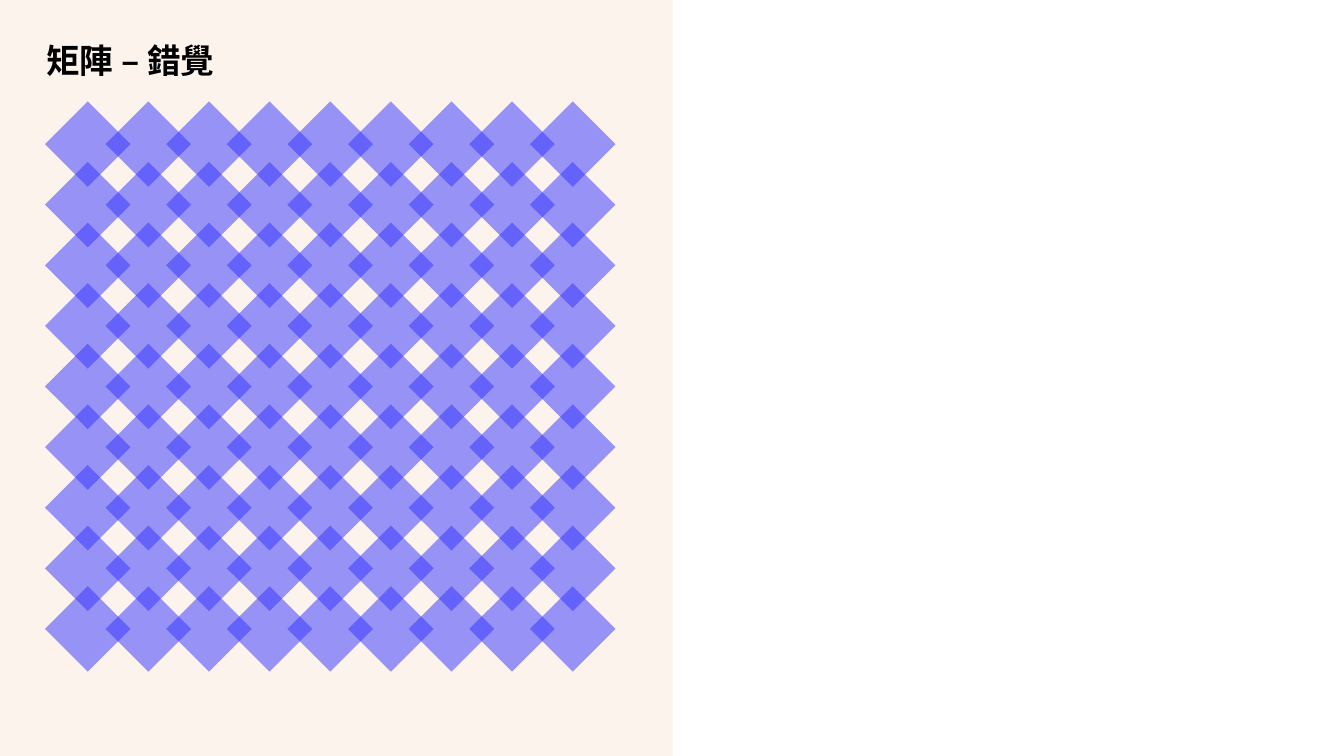
from dataclasses import dataclass
from itertools import product

from lxml.etree import SubElement
from pptx import Presentation
from pptx.dml.color import RGBColor
from pptx.enum.shapes import MSO_CONNECTOR, MSO_SHAPE
from pptx.enum.text import MSO_ANCHOR, PP_ALIGN
from pptx.oxml.ns import qn
from pptx.shapes.autoshape import Shape
from pptx.shapes.base import BaseShape
from pptx.slide import Slide
from pptx.util import Inches, Pt

SLIDE_WIDTH, SLIDE_HEIGHT = 13.33, 7.5
PANEL_WIDTH = 6.67
TITLE_FONT = "Noto Sans CJK SC"
GRID_COUNT = 9
GRID_LEFT, GRID_TOP = 0.57, 1.13
GRID_PITCH = 4.81 / (GRID_COUNT - 1)


@dataclass(frozen=True)
class Block:
    left: float
    top: float
    width: float
    height: float
    color: str
    opacity: int
    rotation: float = 0


def hex_color(value: str) -> RGBColor:
    return RGBColor.from_string(value)


def set_opacity(shape: BaseShape, percent: int) -> None:
    for color in shape.element.spPr.iter(qn("a:srgbClr")):
        SubElement(color, qn("a:alpha")).set("val", str(percent * 1000))


def draw_block(page: Slide, block: Block) -> Shape:
    shape = page.shapes.add_shape(
        MSO_SHAPE.RECTANGLE,
        Inches(block.left), Inches(block.top),
        Inches(block.width), Inches(block.height),
    )
    shape.shadow.inherit = False
    shape.rotation = block.rotation
    shape.fill.solid()
    shape.fill.fore_color.rgb = hex_color(block.color)
    shape.line.fill.background()
    set_opacity(shape, block.opacity)
    return shape


def draw_divider(page: Slide) -> BaseShape:
    divider = page.shapes.add_connector(
        MSO_CONNECTOR.STRAIGHT,
        Inches(PANEL_WIDTH), Inches(SLIDE_HEIGHT), Inches(PANEL_WIDTH), Inches(0),
    )
    divider.line.color.rgb = hex_color("FBE5D6")
    divider.line.width = Pt(0.25)
    set_opacity(divider, 50)
    SubElement(divider.element.spPr, qn("a:effectLst"))
    return divider


def write_title(page: Slide, text: str) -> None:
    title = page.shapes.title
    place = {"left": 0.36, "top": 0.4, "width": 5.95, "height": 0.44}
    for name, value in place.items():
        setattr(title, name, Inches(value))
    frame = title.text_frame
    frame.word_wrap = False
    frame.vertical_anchor = MSO_ANCHOR.MIDDLE
    para = frame.paragraphs[0]
    para.alignment = PP_ALIGN.LEFT
    para.line_spacing = 0.9
    span = para.add_run()
    span.text = text
    for name, value in {"size": Pt(24), "bold": True, "name": TITLE_FONT}.items():
        setattr(span.font, name, value)
    span.font.color.rgb = hex_color("000000")
    east_asian = SubElement(span.font._element, qn("a:ea"))
    east_asian.set("typeface", TITLE_FONT)


def main() -> None:
    deck = Presentation()
    deck.slide_width, deck.slide_height = Inches(SLIDE_WIDTH), Inches(SLIDE_HEIGHT)
    page = deck.slides.add_slide(deck.slide_layouts[5])
    write_title(page, "矩陣 – 錯覺")

    panel = draw_block(page, Block(0, 0, PANEL_WIDTH, SLIDE_HEIGHT, "F4B183", 14))
    for backdrop in (panel, draw_divider(page)):
        page.shapes.title.element.addprevious(backdrop.element)

    for row, column in product(range(GRID_COUNT), repeat=2):
        left = GRID_LEFT + column * GRID_PITCH
        top = GRID_TOP + row * GRID_PITCH
        draw_block(page, Block(left, top, 0.6, 0.6, "3333FF", 50, rotation=45))

    deck.save("out.pptx")


if __name__ == "__main__":
    main()
